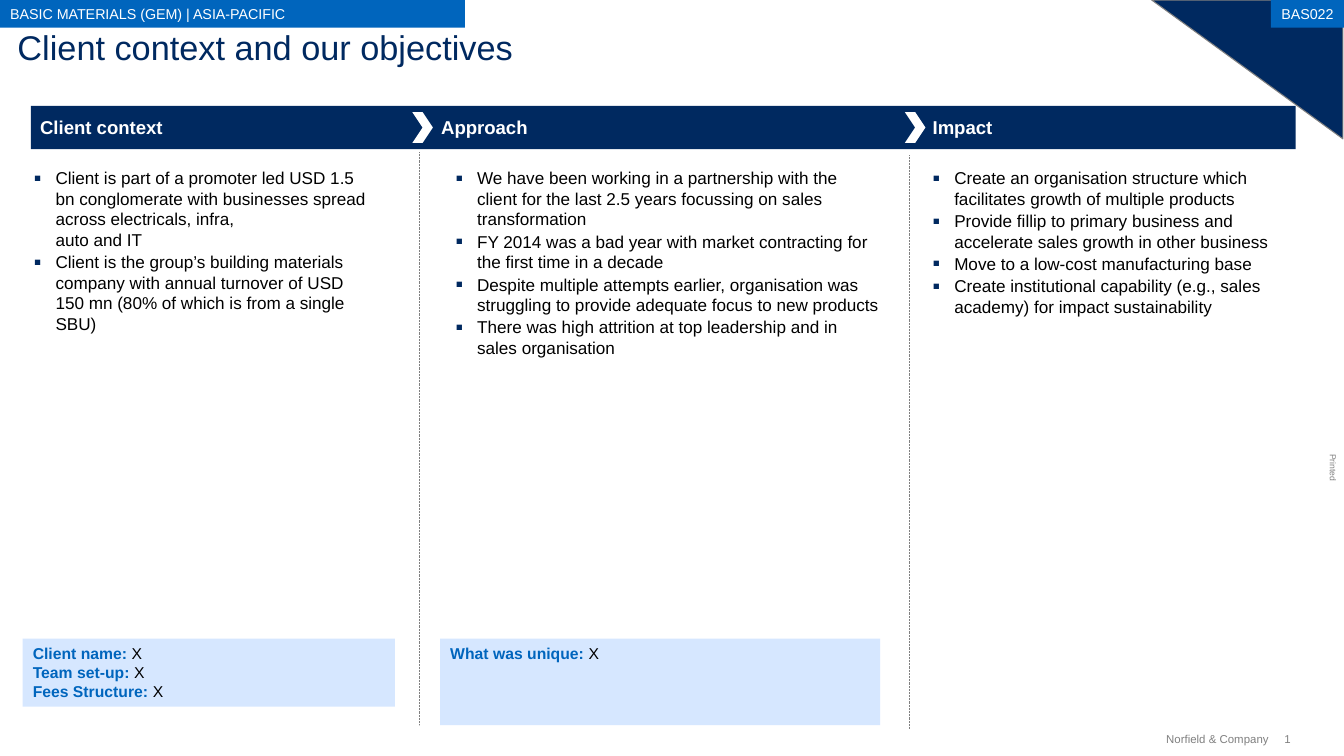
from copy import deepcopy
from lxml import etree
from pptx import Presentation
from pptx.dml.color import RGBColor
from pptx.enum.dml import MSO_LINE
from pptx.enum.shapes import MSO_CONNECTOR, MSO_SHAPE
from pptx.enum.text import MSO_ANCHOR, MSO_AUTO_SIZE, PP_ALIGN
from pptx.oxml.ns import qn
from pptx.util import Inches, Pt

RECT, CHEVRON = MSO_SHAPE.RECTANGLE, MSO_SHAPE.CHEVRON
TOP, MIDDLE, BOTTOM = MSO_ANCHOR.TOP, MSO_ANCHOR.MIDDLE, MSO_ANCHOR.BOTTOM
LEFT, CENTER, RIGHT = PP_ALIGN.LEFT, PP_ALIGN.CENTER, PP_ALIGN.RIGHT
STRAIGHT, DOTTED = MSO_CONNECTOR.STRAIGHT, MSO_LINE.ROUND_DOT
NO_AUTOFIT = MSO_AUTO_SIZE.NONE

NAVY, BLUE, PALE, GREY, WHITE, BLACK = (
    RGBColor.from_string(c)
    for c in ("002960", "0065BD", "D6E7FF", "808080", "FFFFFF", "000000"))
THEME = {  # size, colour, bold
    "title": (24, NAVY, False),
    "heading": (13, WHITE, True),
    "body": (12, BLACK, False),
    "label": (11, BLUE, True),
    "value": (11, BLACK, False),
    "tag": (10, WHITE, False),
    "footer": (8, GREY, False),
    "printed": (6, GREY, False),
}

COLUMNS = [  # heading, heading box, list placeholder, list box, points
    ("Client context", (0.39, 1.12, 2.91, 0.24), 1, (0.33, 1.63, 3.27, 1.64), [
        "Client is part of a promoter led USD 1.5 bn conglomerate with "
        "businesses spread across electricals, infra,\nauto and IT",
        "Client is the group’s building materials company with annual "
        "turnover of USD 150 mn (80% of which is from a single SBU)"]),
    ("Approach", (4.29, 1.12, 3.49, 0.24), 2, (4.43, 1.63, 4.12, 1.88), [
        "We have been working in a partnership with the client for the last "
        "2.5 years focussing on sales transformation",
        "FY 2014 was a bad year with market contracting for the first time "
        "in a decade",
        "Despite multiple attempts earlier, organisation was struggling to "
        "provide adequate focus to new products",
        "There was high attrition at top leadership and in sales organisation"]),
    ("Impact", (9.07, 1.12, 3.17, 0.24), 3, (9.07, 1.63, 3.45, 1.47), [
        "Create an organisation structure which facilitates growth of "
        "multiple products",
        "Provide fillip to primary business and accelerate sales growth in "
        "other business",
        "Move to a low-cost manufacturing base",
        "Create institutional capability (e.g., sales academy) for impact "
        "sustainability"]),
]


def write(sp, paragraphs, anchor=TOP, align=LEFT, wrap=True, inset=(0, 0)):
    """Fill sp with paragraphs, each a list of (text, THEME style) runs."""
    tf = sp.text_frame
    frame = {"auto_size": NO_AUTOFIT, "word_wrap": wrap,
             "vertical_anchor": anchor,
             "margin_left": Inches(inset[0]), "margin_right": Inches(inset[0]),
             "margin_top": Inches(inset[1]), "margin_bottom": Inches(inset[1])}
    for name, value in frame.items():
        setattr(tf, name, value)
    for i, runs in enumerate(paragraphs):
        p = tf.add_paragraph() if i else tf.paragraphs[0]
        p.alignment = align
        for text, style in runs:
            size, color, bold = THEME[style]
            for j, line in enumerate(text.split("\n")):
                if j:
                    p.add_line_break()
                r = p.add_run()
                r.text = line
                font = {"name": "Arial", "size": Pt(size), "bold": bold}
                for name, value in font.items():
                    setattr(r.font, name, value)
                r.font.color.rgb = color
        for br in p._p.findall(qn("a:br")):
            br.append(deepcopy(p.runs[0]._r.find(qn("a:rPr"))))


def block(kind, box, fill):
    sp = s.shapes.add_shape(kind, *map(Inches, box))
    sp.shadow.inherit = False
    sp.fill.solid()
    sp.fill.fore_color.rgb = fill
    sp.line.fill.background()
    return sp


prs = Presentation()
prs.slide_width, prs.slide_height = Inches(13.07), Inches(7.35)
s = prs.slides.add_slide(prs.slide_layouts.get_by_name("Comparison"))

# Title and corner
title = s.shapes.title
title.left, title.top, title.width, title.height = map(
    Inches, (0.17, 0.25, 11.31, 0.4))
write(title, [[("Client context and our objectives", "title")]])

fb = s.shapes.build_freeform(Inches(11.2), 0)
fb.add_line_segments([(Inches(13.06), 0), (Inches(13.06), Inches(1.35))])
corner = fb.convert_to_shape()
corner.shadow.inherit = False
corner.fill.solid()
corner.fill.fore_color.rgb = NAVY
corner.line.color.rgb = GREY
corner.line.width = Pt(0.75)

# Tags along the top edge
for text, box, align in [
        ("BAS022", (12.36, 0, 0.71, 0.27), CENTER),
        ("BASIC MATERIALS (GEM) | ASIA-PACIFIC", (0, 0, 4.52, 0.27), LEFT)]:
    write(block(RECT, box, BLUE), [[(text, "tag")]], MIDDLE, align,
          wrap=align == LEFT, inset=(0.1, 0.05))

# Three columns under one bar
block(RECT, (0.3, 1.03, 12.3, 0.42), NAVY)
for heading, heading_box, idx, list_box, points in COLUMNS:
    tb = s.shapes.add_textbox(*map(Inches, heading_box))
    write(tb, [[(heading, "heading")]], BOTTOM, inset=(0, 0.02))

    body = s.placeholders[idx]
    body.left, body.top, body.width, body.height = map(Inches, list_box)
    write(body, [[(point, "body")] for point in points])
    for i, p in enumerate(body.text_frame.paragraphs):
        p.space_before = Pt(1.2 if i else 0)
        pPr = p._p.get_or_add_pPr()
        pPr.set("marL", str(Inches(0.21)))
        pPr.set("indent", str(Inches(-0.21)))
        color = etree.SubElement(pPr, qn("a:buClr"))
        etree.SubElement(color, qn("a:srgbClr"), val=str(NAVY))
        etree.SubElement(pPr, qn("a:buSzPct"), val="125000")
        etree.SubElement(pPr, qn("a:buFont"), typeface="Arial")
        etree.SubElement(pPr, qn("a:buChar"), char="▪")

unused = s.placeholders[4]._element
unused.getparent().remove(unused)

# Chevrons and dotted dividers between the columns
for chevron_x, x, top, bottom in [(4.01, 4.08, 1.48, 7.05),
                                  (8.8, 8.84, 1.51, 7.09)]:
    block(CHEVRON, (chevron_x, 1.09, 0.2, 0.3), WHITE)
    divider = s.shapes.add_connector(
        STRAIGHT, *map(Inches, (x, top, x, bottom)))
    divider.line.color.rgb = GREY
    divider.line.width = Pt(0.5)
    divider.line.dash_style = DOTTED
    etree.SubElement(divider._element.spPr, qn("a:effectLst"))

# Fact boxes
for box, labels in [
        ((0.22, 6.21, 3.62, 0.66),
         ["Client name: ", "Team set-up: ", "Fees Structure: "]),
        ((4.28, 6.21, 4.28, 0.84), ["What was unique: "])]:
    write(block(RECT, box, PALE),
          [[(label, "label"), ("X", "value")] for label in labels],
          inset=(0.1, 0.05))

# Footer and side note
for text, style, box, align, rotation in [
        ("Norfield & Company", "footer", (11.23, 7.12, 1.11, 0.13), RIGHT, 0),
        ("1", "footer", (12.49, 7.12, 0.14, 0.13), LEFT, 0),
        ("Printed", "printed", (12.83, 4.5, 0.27, 0.1), LEFT, 90)]:
    tb = s.shapes.add_textbox(*map(Inches, box))
    tb.rotation = rotation
    write(tb, [[(text, style)]], MIDDLE, align, wrap=False)

prs.save("out.pptx")
